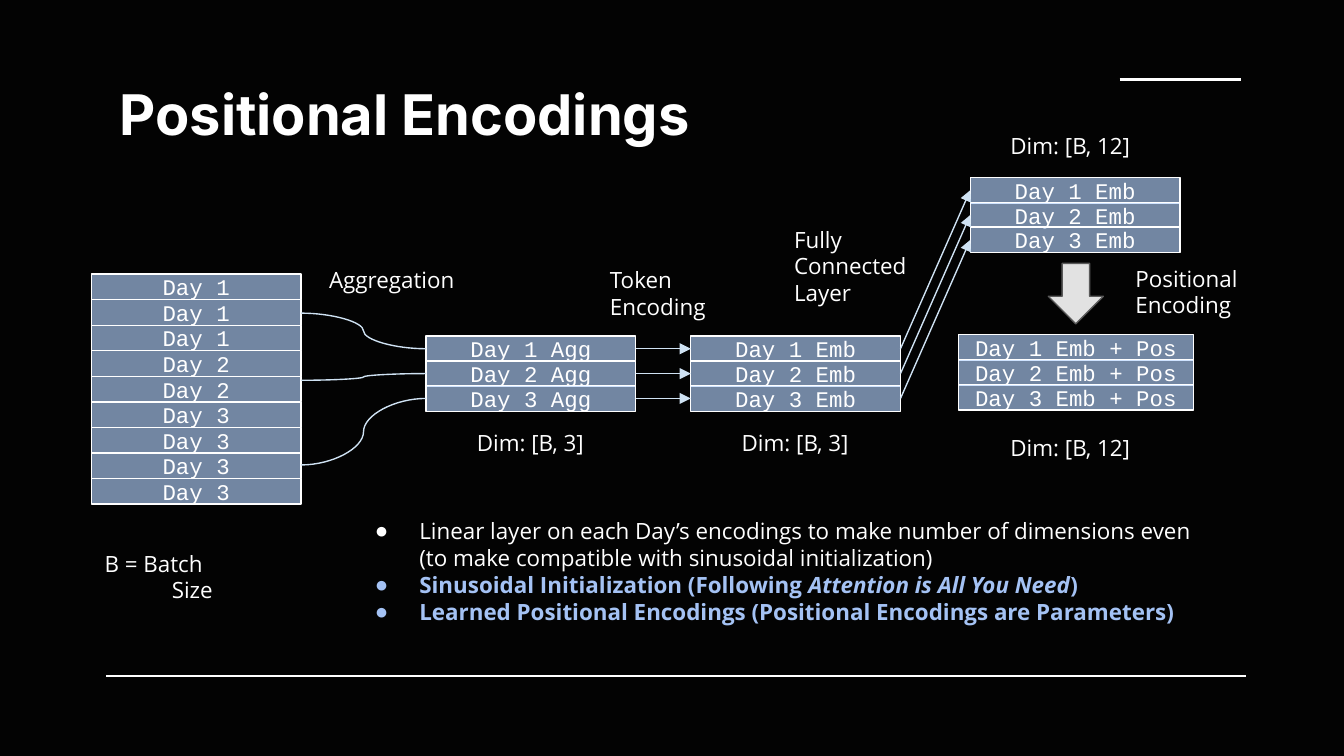
from lxml.etree import SubElement
from pptx import Presentation
from pptx.dml.color import RGBColor
from pptx.enum.shapes import MSO_CONNECTOR, MSO_SHAPE
from pptx.enum.text import MSO_ANCHOR, MSO_AUTO_SIZE, PP_ALIGN
from pptx.oxml.ns import qn
from pptx.util import Inches, Pt

COLORS = {
    "background": "030303",
    "text": "FFFFFF",
    "highlight": "A4C2F4",
    "cell": "B4D3FF",
    "connector": "CFE2F3",
    "arrow": "E2E2E2",
    "arrow_line": "595959",
}
FRAME = {
    "word_wrap": True,
    "auto_size": MSO_AUTO_SIZE.NONE,
    "vertical_anchor": MSO_ANCHOR.TOP,
    **{f"margin_{side}": Inches(0.1) for side in ("left", "top", "right", "bottom")},
}
SPACING = {"line_spacing": 1.0, "space_before": Pt(0), "space_after": Pt(0)}
TITLE = {"name": "Inter", "size": Pt(30), "bold": True}
LABEL = {"name": "Open Sans", "size": Pt(12)}
CELL = {"name": "Courier New", "size": Pt(12)}
CELL_HEIGHT = 0.19
LEFT_SIDE, RIGHT_SIDE = 1, 3


def rgb(name):
    return RGBColor.from_string(COLORS[name])


def apply_format(target, values):
    for name, value in values.items():
        setattr(target, name, value)


def place(shape, box):
    apply_format(shape, dict(zip(("left", "top", "width", "height"), map(Inches, box))))


def add_run(paragraph, text, font, color="text"):
    run = paragraph.add_run()
    run.text = text
    apply_format(run.font, font)
    run.font.color.rgb = rgb(color)


def set_indent(paragraph, margin, first_line):
    properties = paragraph._p.get_or_add_pPr()
    properties.set("marL", str(Inches(margin)))
    properties.set("indent", str(Inches(first_line)))
    return properties


def add_bullet(paragraph, color):
    properties = set_indent(paragraph, 0.5, -0.33)
    bullet_color = SubElement(properties, qn("a:buClr"))
    SubElement(bullet_color, qn("a:srgbClr"), val=COLORS[color])
    SubElement(properties, qn("a:buFont"), typeface="Arial")
    SubElement(properties, qn("a:buChar"), char="●")


def write_title(slide, box):
    title = slide.shapes.title
    place(title, box)
    apply_format(title.text_frame, FRAME)
    paragraph = title.text_frame.paragraphs[0]
    apply_format(paragraph, {"alignment": PP_ALIGN.LEFT, **SPACING})
    add_run(paragraph, "Positional Encodings", TITLE)


def write_notes_list(slide, box):
    """Fill the body placeholder with the bulleted explanation."""
    bold = {**LABEL, "bold": True}
    items = [
        ("text", [("Linear layer on each Day’s encodings to make number of dimensions even "
                   "(to make compatible with sinusoidal initialization)", LABEL)]),
        ("highlight", [("Sinusoidal Initialization (Following ", bold),
                       ("Attention is All You Need", {**bold, "italic": True}),
                       (")", bold)]),
        ("highlight", [("Learned Positional Encodings (Positional Encodings are Parameters)",
                        bold)]),
    ]
    body = slide.placeholders[1]
    place(body, box)
    frame = body.text_frame
    apply_format(frame, FRAME)
    for index, (color, runs) in enumerate(items):
        paragraph = frame.add_paragraph() if index else frame.paragraphs[0]
        apply_format(paragraph, SPACING)
        add_bullet(paragraph, color)
        for text, font in runs:
            add_run(paragraph, text, font, color)


def add_label(slide, box, *lines):
    frame = slide.shapes.add_textbox(*map(Inches, box)).text_frame
    apply_format(frame, FRAME)
    for index, line in enumerate(lines):
        paragraph = frame.add_paragraph() if index else frame.paragraphs[0]
        add_run(paragraph, line, LABEL)
    return frame


def add_stack(slide, left, top, width, pitch, texts):
    """Stack one translucent cell per text and return the cells."""
    cells = []
    for index, text in enumerate(texts):
        box = (left, top + index * pitch, width, CELL_HEIGHT)
        cell = slide.shapes.add_shape(MSO_SHAPE.RECTANGLE, *map(Inches, box))
        cell.shadow.inherit = False
        cell.fill.solid()
        cell.fill.fore_color.rgb = rgb("cell")
        fill_color = cell._element.spPr.find(qn("a:solidFill")).find(qn("a:srgbClr"))
        SubElement(fill_color, qn("a:alpha"), val="63000")
        cell.line.color.rgb = rgb("text")
        cell.line.width = Pt(0.75)
        apply_format(cell.text_frame, {**FRAME, "vertical_anchor": MSO_ANCHOR.MIDDLE})
        paragraph = cell.text_frame.paragraphs[0]
        paragraph.alignment = PP_ALIGN.CENTER
        add_run(paragraph, text, CELL)
        cells.append(cell)
    return cells


def add_line(slide, start, end, kind=MSO_CONNECTOR.STRAIGHT, color="connector", width=0.75):
    connector = slide.shapes.add_connector(kind, *map(Inches, (*start, *end)))
    connector.line.color.rgb = rgb(color)
    connector.line.width = Pt(width)
    SubElement(connector._element.spPr, qn("a:effectLst"))
    return connector


def join_stacks(slide, sources, targets):
    """Draw an arrow from each source cell to its target cell."""
    for source, target in zip(sources, targets):
        arrow = add_line(slide, (0, 0), (1, 1))
        arrow.begin_connect(source, RIGHT_SIDE)
        arrow.end_connect(target, LEFT_SIDE)
        SubElement(arrow.line._get_or_add_ln(), qn("a:tailEnd"), type="triangle")


def add_down_arrow(slide, box):
    arrow = slide.shapes.add_shape(MSO_SHAPE.DOWN_ARROW, *map(Inches, box))
    arrow.shadow.inherit = False
    arrow.fill.solid()
    arrow.fill.fore_color.rgb = rgb("arrow")
    arrow.line.color.rgb = rgb("arrow_line")
    arrow.line.width = Pt(0.75)


def add_pipeline(slide, left, top):
    """Draw the stacks of days and the steps that join them."""
    def day_names(suffix):
        return [f"Day {day} {suffix}" for day in (1, 2, 3)]

    width, pitch = 1.56, 0.185
    days = [f"Day {day}" for day in (1, 1, 1, 2, 2, 3, 3, 3, 3)]
    add_stack(slide, left, top, width, CELL_HEIGHT, days)
    aggregates = add_stack(slide, left + 2.49, top + 0.46, width, pitch, day_names("Agg"))
    tokens = add_stack(slide, left + 4.46, top + 0.46, width, pitch, day_names("Emb"))
    embeddings = add_stack(slide, left + 6.54, top - 0.72, width, pitch, day_names("Emb"))
    add_stack(slide, left + 6.45, top + 0.45, 1.75, pitch, day_names("Emb + Pos"))

    for offset, aggregate in zip((0.29, 0.79, 1.42), aggregates):
        curve = add_line(slide, (left + width, top + offset), (left + 2.49, top + 0.6),
                         MSO_CONNECTOR.CURVE)
        curve.end_connect(aggregate, LEFT_SIDE)
    join_stacks(slide, aggregates, tokens)
    join_stacks(slide, tokens, embeddings)
    add_down_arrow(slide, (left + 7.12, top - 0.08, 0.41, 0.45))

    for x, y, label_width, label_height, text in (
        (1.67, -0.16, 1.17, 0.63, "Aggregation"),
        (3.76, -0.16, 1, 0.63, "Token Encoding"),
        (5.13, -0.46, 1.41, 0.63, "Fully Connected Layer"),
        (7.67, -0.17, 1, 0.63, "Positional Encoding"),
        (2.77, 1.05, 1.17, 0.63, "Dim: [B, 3]"),
        (4.74, 1.05, 1.21, 0.63, "Dim: [B, 3]"),
        (6.74, -1.16, 1.17, 0.36, "Dim: [B, 12]"),
        (6.74, 1.09, 1.17, 0.36, "Dim: [B, 12]"),
    ):
        add_label(slide, (left + x, top + y, label_width, label_height), text)
    batch = add_label(slide, (left, top + 1.95, 1.17, 0.36), "B = Batch", "Size")
    set_indent(batch.paragraphs[1], 0, 0.5)


def main():
    presentation = Presentation()
    presentation.slide_width = Inches(10)
    presentation.slide_height = presentation.slide_width * 9 // 16
    slide = presentation.slides.add_slide(presentation.slide_layouts[1])
    slide.background.fill.solid()
    slide.background.fill.fore_color.rgb = rgb("background")
    add_line(slide, (8.33, 0.59), (9.23, 0.59), color="text", width=1.5)
    add_line(slide, (0.79, 5.03), (9.27, 5.03), color="text", width=1.5)
    write_title(slide, (0.79, 0.49, 8.43, 0.63))
    add_pipeline(slide, 0.68, 2.04)
    write_notes_list(slide, (2.52, 3.75, 6.53, 0.85))
    presentation.save("out.pptx")


if __name__ == "__main__":
    main()
